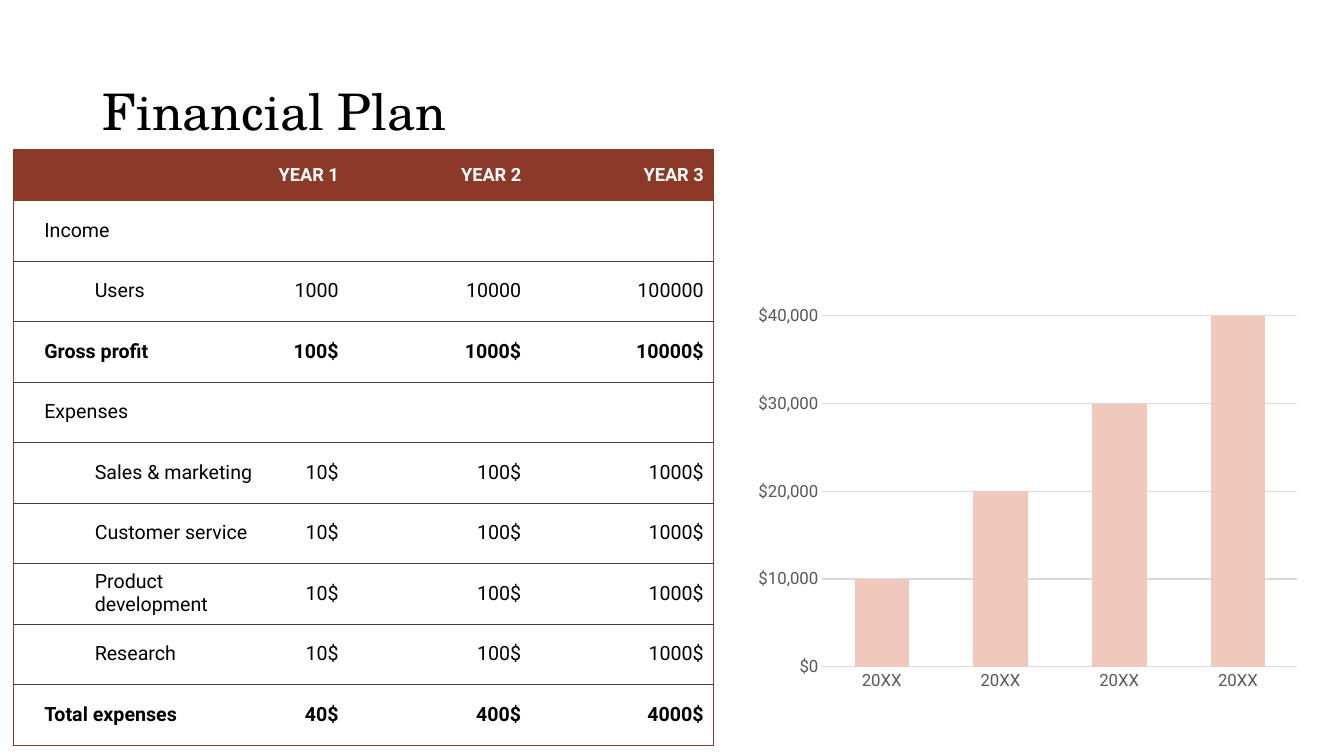
from dataclasses import dataclass

from lxml import etree
from pptx import Presentation
from pptx.chart.data import CategoryChartData
from pptx.dml.color import RGBColor
from pptx.enum.chart import XL_CHART_TYPE, XL_TICK_MARK
from pptx.enum.text import MSO_ANCHOR, PP_ALIGN
from pptx.oxml import parse_xml
from pptx.oxml.ns import nsdecls, qn
from pptx.util import Inches, Pt

MIDDLE = MSO_ANCHOR.MIDDLE
LEFT, RIGHT = PP_ALIGN.LEFT, PP_ALIGN.RIGHT
COLUMN = XL_CHART_TYPE.COLUMN_CLUSTERED
NO_TICK = XL_TICK_MARK.NONE
NO_TABLE_STYLE = "{2D5ABB26-0587-4C30-8999-92F81FD0307C}"


@dataclass(frozen=True)
class Theme:
    title_font: str = "TeX Gyre Schola"
    body_font: str = "Roboto"
    title_size: int = 36
    header_size: int = 13
    body_size: int = 14
    axis_size: int = 12
    text: str = "000000"
    white: str = "FFFFFF"
    accent: str = "8C3A27"
    rule: str = "404040"
    bar: str = "F0C8BC"
    axis_text: str = "595959"
    grid: str = "D9D9D9"


theme = Theme()


def set_font(font, name, size, color, bold=False):
    font.name = name
    font.size = Pt(size)
    font.bold = bold
    font.color.rgb = RGBColor.from_string(color)


def add_border(cell, side, color):
    line = etree.SubElement(cell._tc.get_or_add_tcPr(), qn(f"a:ln{side}"), w=str(Pt(0.5)))
    fill = etree.SubElement(line, qn("a:solidFill"))
    etree.SubElement(fill, qn("a:srgbClr"), val=color)


presentation = Presentation()
presentation.slide_width = Inches(13.33)
presentation.slide_height = Inches(7.5)
slide = presentation.slides.add_slide(presentation.slide_layouts[6])

# Title
title = slide.shapes.add_textbox(Inches(0.92), Inches(0.78), Inches(11.5), Inches(0.7))
title.text_frame.word_wrap = True
title.text_frame.vertical_anchor = MIDDLE
paragraph = title.text_frame.paragraphs[0]
paragraph.text = "Financial Plan"
paragraph.line_spacing = 0.9
set_font(paragraph.font, theme.title_font, theme.title_size, theme.text)

# Revenue chart
chart_data = CategoryChartData()
chart_data.categories = ["20XX"] * 4
chart_data.add_series("Series 1", [10000, 20000, 30000, 40000])
chart = slide.shapes.add_chart(
    COLUMN, Inches(7.42), Inches(2.9), Inches(5.67), Inches(4.03), chart_data
).chart
chart.has_legend = False
chart.has_title = False
set_font(chart.font, theme.body_font, 10, theme.text)

plot = chart.plots[0]
plot.gap_width = 118
plot.overlap = -3
plot.vary_by_categories = False
bars = plot.series[0].format.fill
bars.solid()
bars.fore_color.rgb = RGBColor.from_string(theme.bar)

category_axis, value_axis = chart.category_axis, chart.value_axis
for axis in (category_axis, value_axis):
    axis.major_tick_mark = NO_TICK
    axis.minor_tick_mark = NO_TICK
    set_font(axis.tick_labels.font, theme.body_font, theme.axis_size, theme.axis_text)
value_axis.minimum_scale = 0
value_axis.maximum_scale = 40000
value_axis.major_unit = 10000
value_axis.tick_labels.number_format = "[$$-409]#,##0"
value_axis.tick_labels.number_format_is_linked = False
value_axis.format.line.fill.background()
for line in (category_axis.format.line, value_axis.major_gridlines.format.line):
    line.color.rgb = RGBColor.from_string(theme.grid)
    line.width = Pt(0.75)

# Fixed inner plot area
plot_area = plot._element.getparent()
for layout in plot_area.findall(qn("c:layout")):
    plot_area.remove(layout)
plot_area.insert(0, parse_xml(
    f'<c:layout {nsdecls("c")}><c:manualLayout><c:layoutTarget val="inner"/>'
    '<c:xMode val="edge"/><c:yMode val="edge"/><c:x val="0.13"/><c:y val="0.058"/>'
    '<c:w val="0.831"/><c:h val="0.864"/></c:manualLayout></c:layout>'
))

# Plan table: row kind, then the cell texts
plan = [
    ("header", "", "YEAR 1", "YEAR 2", "YEAR 3"),
    ("section", "Income", "", "", ""),
    ("item", "Users", "1000", "10000", "100000"),
    ("total", "Gross profit", "100$", "1000$", "10000$"),
    ("section", "Expenses", "", "", ""),
    ("item", "Sales & marketing", "10$", "100$", "1000$"),
    ("item", "Customer service", "10$", "100$", "1000$"),
    ("item", "Product development", "10$", "100$", "1000$"),
    ("item", "Research", "10$", "100$", "1000$"),
    ("total", "Total expenses", "40$", "400$", "4000$"),
]
column_widths = [2.48, 0.85, 1.81, 1.81]
last_row, last_column = len(plan) - 1, len(column_widths) - 1
table = slide.shapes.add_table(
    len(plan), len(column_widths), Inches(0.13), Inches(1.48), Inches(6.95), Inches(5.91)
).table
table.horz_banding = False
table._tbl.tblPr.find(qn("a:tableStyleId")).text = NO_TABLE_STYLE
for column, width in zip(table.columns, column_widths):
    column.width = Inches(width)

for row_index, (kind, *texts) in enumerate(plan):
    is_header = kind == "header"
    table.rows[row_index].height = Inches(0.51 if is_header else 0.6)
    for column_index, text in enumerate(texts):
        cell = table.cell(row_index, column_index)
        is_label = column_index == 0
        cell.vertical_anchor = MIDDLE
        if is_label and not is_header:
            cell.margin_left = Inches(0.31)

        # Text
        paragraph = cell.text_frame.paragraphs[0]
        paragraph.text = text
        paragraph.alignment = LEFT if is_label else RIGHT
        if is_label and kind == "item":
            paragraph.level = 1
            properties = paragraph._p.get_or_add_pPr()
            properties.set("marL", str(Inches(0.5)))
            properties.set("indent", "0")
        set_font(
            paragraph.font,
            theme.body_font,
            theme.header_size if is_header else theme.body_size,
            theme.white if is_header else theme.text,
            kind in ("header", "total"),
        )

        # Borders, then fill
        if is_label:
            add_border(cell, "L", theme.accent)
        if column_index == last_column:
            add_border(cell, "R", theme.accent)
        add_border(cell, "T", theme.accent if row_index < 2 else theme.rule)
        add_border(cell, "B", theme.accent if row_index in (0, last_row) else theme.rule)
        if is_header:
            cell.fill.solid()
            cell.fill.fore_color.rgb = RGBColor.from_string(theme.accent)
        else:
            cell.fill.background()

presentation.save("out.pptx")
